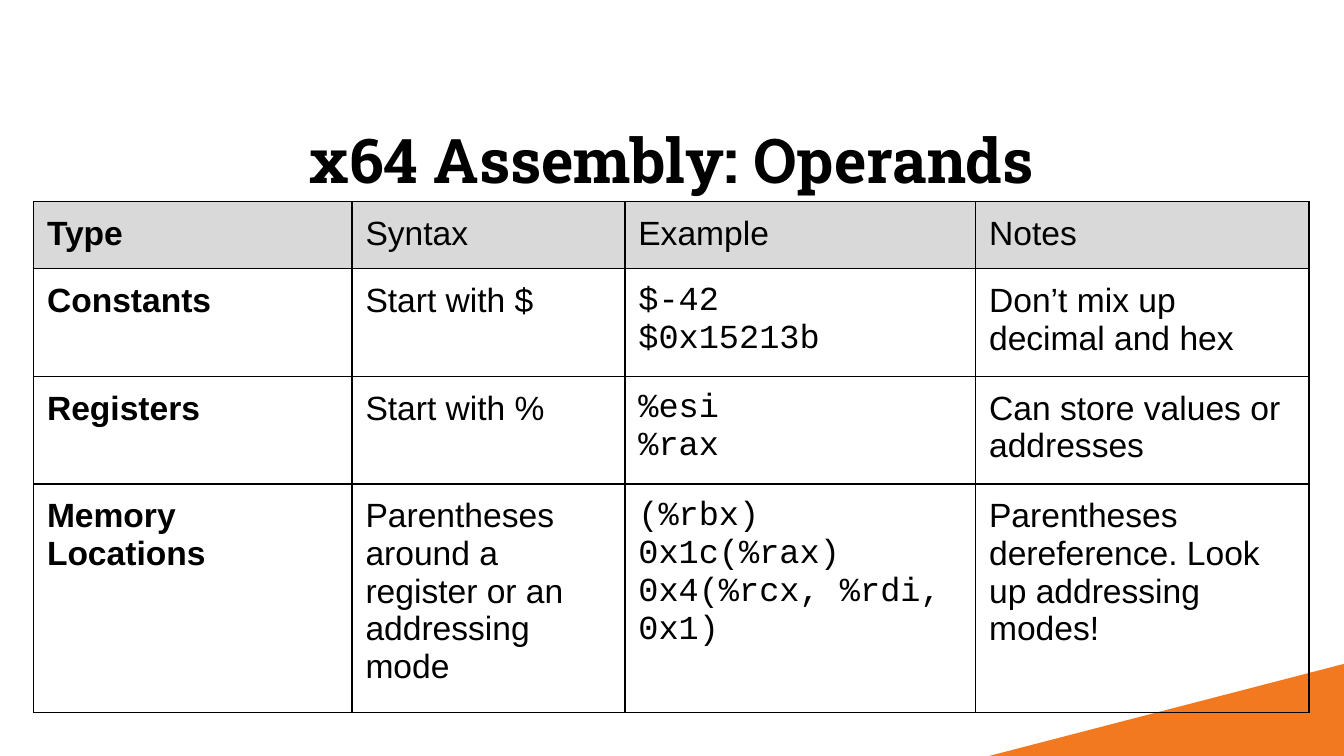
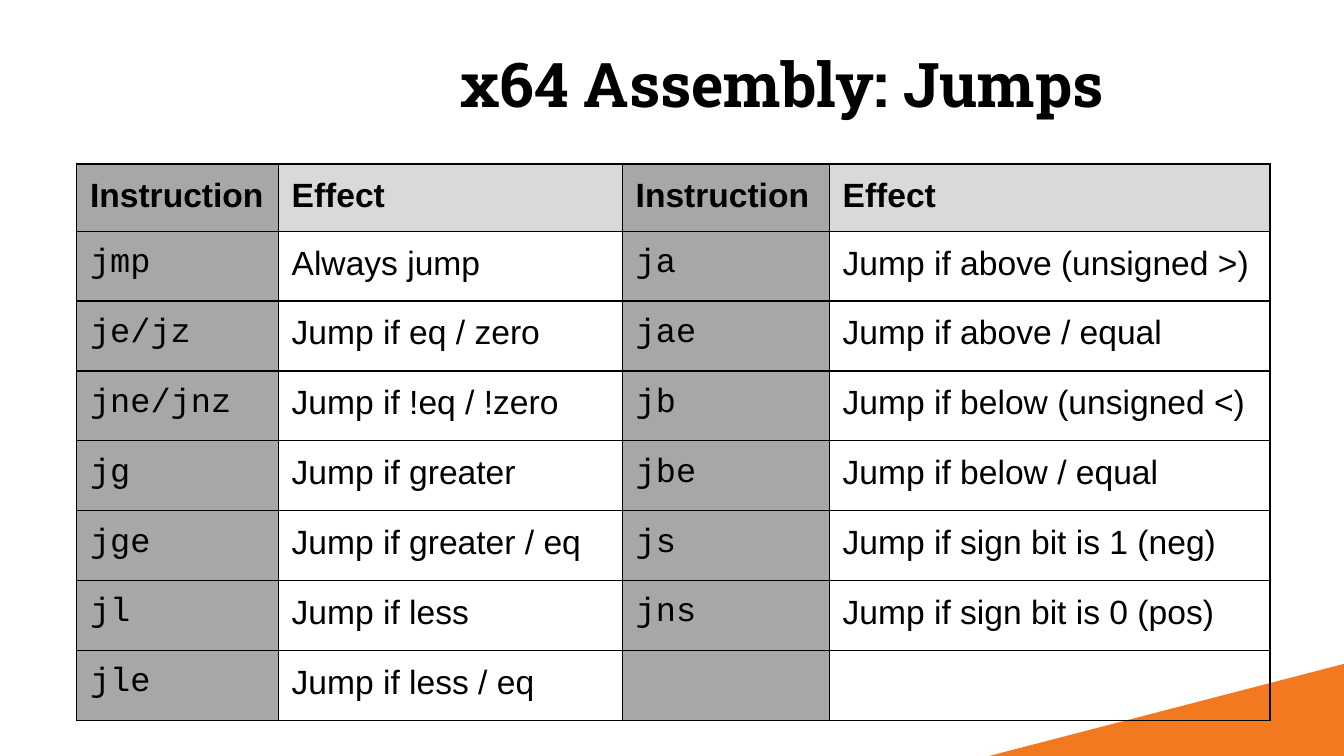
from lxml.etree import SubElement
from pptx import Presentation
from pptx.dml.color import RGBColor
from pptx.enum.text import MSO_ANCHOR, MSO_AUTO_SIZE, PP_ALIGN
from pptx.oxml.ns import qn
from pptx.util import Inches, Pt

BLACK, ORANGE, LIGHT, DARK = "000000", "F37920", "D9D9D9", "A7A7A7"
SANS, MONO, SLAB = "Arial", "Courier New", "Roboto Slab"
WIDTH = 10
HEIGHT = WIDTH * 9 / 16
INSET = Inches(0.1)


def paint(fill, colour):
    fill.solid()
    fill.fore_color.rgb = RGBColor.from_string(colour)


def style_text(frame, face, size, bold, **paragraph_format):
    for paragraph in frame.paragraphs:
        for key, value in paragraph_format.items():
            setattr(paragraph, key, value)
        for run in paragraph.runs:
            for key, value in dict(name=face, size=Pt(size), bold=bold).items():
                setattr(run.font, key, value)
            paint(run.font.fill, BLACK)


operands = [
    ["Type", "Syntax", "Example", "Notes"],
    ["Constants", "Start with $", "$-42\n$0x15213b", "Don’t mix up decimal and hex"],
    ["Registers", "Start with %", "%esi\n%rax", "Can store values or addresses"],
    ["Memory Locations", "Parentheses around a register or an addressing mode",
     "(%rbx)\n0x1c(%rax)\n0x4(%rcx, %rdi, 0x1)",
     "Parentheses dereference. Look up addressing modes!"],
]
jumps = [
    ["Instruction", "Effect", "Instruction", "Effect"],
    ["jmp", "Always jump", "ja", "Jump if above (unsigned >)"],
    ["je/jz", "Jump if eq / zero", "jae", "Jump if above / equal"],
    ["jne/jnz", "Jump if !eq / !zero", "jb", "Jump if below (unsigned <)"],
    ["jg", "Jump if greater", "jbe", "Jump if below / equal"],
    ["jge", "Jump if greater / eq", "js", "Jump if sign bit is 1 (neg)"],
    ["jl", "Jump if less", "jns", "Jump if sign bit is 0 (pos)"],
    ["jle", "Jump if less / eq", "", ""],
]
lessons = [
    dict(title="x64 Assembly: Operands", title_at=(0.69, 0.94), rows=operands,
         area=(0.25, 1.5, 9.49, 3.8), widths=[2.37, 2.03, 2.61, 2.48],
         heights=[0.45, 0.75, 0.77, 1.52],
         mono_columns=[2], dark_columns=[], bold_columns=[0], bold_headers=[0]),
    dict(title="x64 Assembly: Jumps", title_at=(1.51, 0.37), rows=jumps,
         area=(0.57, 1.22, 8.87, 4.17), widths=[1.5, 2.56, 1.54, 3.28],
         heights=[0.34] + [0.52] * 7,
         mono_columns=[0, 2], dark_columns=[0, 2], bold_columns=[],
         bold_headers=[0, 1, 2, 3]),
]

deck = Presentation()
deck.slide_width, deck.slide_height = Inches(WIDTH), Inches(HEIGHT)
layout = deck.slide_layouts[5]

for lesson in lessons:
    slide = deck.slides.add_slide(layout)

    if lesson is lessons[0]:
        outline = slide.shapes.build_freeform(Inches(7.36), Inches(HEIGHT))
        outline.add_line_segments(
            [(Inches(WIDTH), Inches(4.94)), (Inches(WIDTH), Inches(HEIGHT))], close=True)
        wedge = outline.convert_to_shape()
        wedge.shadow.inherit = False
        paint(wedge.fill, ORANGE)
        wedge.line.fill.background()
        wedge.element.nvSpPr.cNvPr.set("id", "99")
        layout.shapes.element.append(wedge.element)

    title = slide.shapes.title
    left, top = lesson["title_at"]
    for key, value in dict(left=left, top=top, width=8.62, height=0.56).items():
        setattr(title, key, Inches(value))
    title.text_frame.text = lesson["title"]
    frame_format = dict(
        margin_left=INSET, margin_right=INSET, margin_top=INSET, margin_bottom=INSET,
        vertical_anchor=MSO_ANCHOR.MIDDLE, word_wrap=True,
        auto_size=MSO_AUTO_SIZE.SHAPE_TO_FIT_TEXT)
    for key, value in frame_format.items():
        setattr(title.text_frame, key, value)
    style_text(title.text_frame, SLAB, 33, True,
               alignment=PP_ALIGN.CENTER, line_spacing=0.9)

    rows = lesson["rows"]
    area = [Inches(length) for length in lesson["area"]]
    grid = slide.shapes.add_table(len(rows), len(rows[0]), *area)
    table = grid.table
    table.first_row = table.horz_banding = False
    for column, width in zip(table.columns, lesson["widths"]):
        column.width = Inches(width)
    for row, height in zip(table.rows, lesson["heights"]):
        row.height = Inches(height)
    grid.width, grid.height = area[2:]

    for r, texts in enumerate(rows):
        for c, text in enumerate(texts):
            cell = table.cell(r, c)
            for side in ("left", "right", "top", "bottom"):
                setattr(cell, f"margin_{side}", INSET)
            properties = cell._tc.get_or_add_tcPr()
            for edge in ("a:lnL", "a:lnR", "a:lnT", "a:lnB"):
                border = SubElement(properties, qn(edge), w=str(Pt(0.75)))
                border_fill = SubElement(border, qn("a:solidFill"))
                SubElement(border_fill, qn("a:srgbClr"), val=BLACK)
            if c in lesson["dark_columns"]:
                paint(cell.fill, DARK)
            elif r == 0:
                paint(cell.fill, LIGHT)
            else:
                cell.fill.background()
            if text:
                cell.text = text
                face = MONO if r and c in lesson["mono_columns"] else SANS
                bold = c in lesson["bold_columns" if r else "bold_headers"]
                style_text(cell.text_frame, face, 18, bold)

deck.save("out.pptx")
